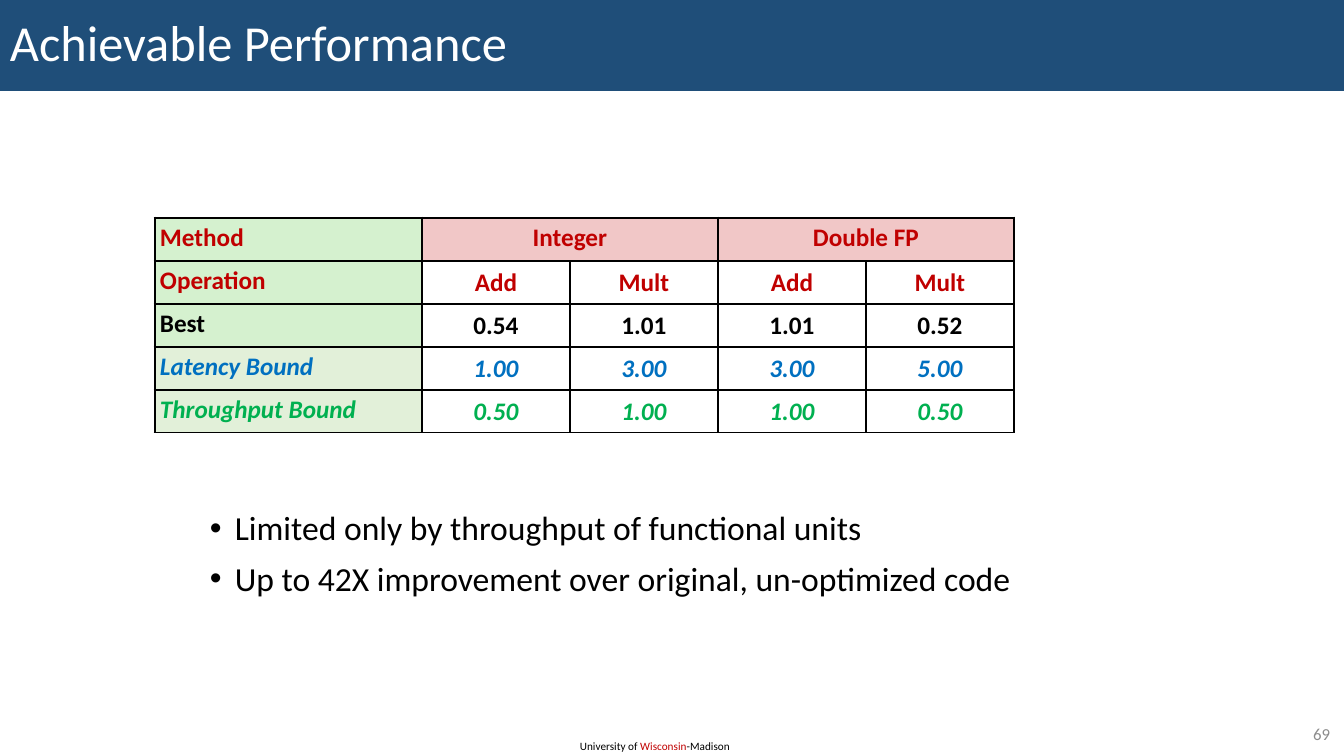
from lxml.etree import SubElement
from pptx import Presentation
from pptx.dml.color import RGBColor
from pptx.enum.shapes import MSO_SHAPE
from pptx.enum.text import MSO_ANCHOR, PP_ALIGN
from pptx.oxml.ns import qn
from pptx.util import Emu, Pt

SCALE = 914400 / 100.8
FONT = "Calibri"
BLACK, RED, WHITE = "000000", "C00000", "FFFFFF"
BLUE, GREEN = "0070C0", "00B050"
MINT, PALE_GREEN, PINK = "D5F1CF", "E2F0D9", "F1C7C7"

LABEL_WIDTH, VALUE_WIDTH, ROW_HEIGHT = 267, 148, 43
ROWS = [
    (["Method", "Integer", "", "Double FP", ""], RED, MINT, False),
    (["Operation", "Add", "Mult", "Add", "Mult"], RED, MINT, False),
    (["Best", "0.54", "1.01", "1.01", "0.52"], BLACK, MINT, False),
    (["Latency Bound", "1.00", "3.00", "3.00", "5.00"], BLUE, PALE_GREEN, True),
    (["Throughput Bound", "0.50", "1.00", "1.00", "0.50"], GREEN, PALE_GREEN, True),
]


def px(length):
    return Emu(round(length * SCALE))


def color(value):
    return RGBColor.from_string(value)


def style(font, size, value, bold=False, italic=False):
    font.name = FONT
    font.size = Pt(size)
    font.bold = bold
    font.italic = italic
    font.color.rgb = color(value)


def add_text_frame(slide, left, top, width, height, wrap=True):
    shape = slide.shapes.add_textbox(px(left), px(top), px(width), px(height))
    shape.text_frame.word_wrap = wrap
    return shape.text_frame


def add_title(slide, text):
    shape = slide.shapes.add_shape(MSO_SHAPE.RECTANGLE, 0, 0, px(1344), px(91))
    shape.shadow.inherit = False
    shape.fill.solid()
    shape.fill.fore_color.rgb = color("1F4E79")
    shape.line.fill.background()
    shape.text_frame.vertical_anchor = MSO_ANCHOR.MIDDLE
    paragraph = shape.text_frame.paragraphs[0]
    paragraph.text = text
    paragraph.alignment = PP_ALIGN.LEFT
    paragraph.line_spacing = 0.9
    style(paragraph.font, 36, WHITE)


def set_borders(cell, widths):
    properties = cell._tc.get_or_add_tcPr()
    for side, width in widths.items():
        line = SubElement(properties, qn(f"a:ln{side}"), w=str(Pt(width)))
        fill = SubElement(line, qn("a:solidFill"))
        SubElement(fill, qn("a:srgbClr"), val=BLACK)


def format_cell(cell, text, value, fill, italic, centered, middle):
    cell.margin_left = cell.margin_right = px(5)
    cell.margin_top = cell.margin_bottom = px(5)
    cell.vertical_anchor = MSO_ANCHOR.MIDDLE if middle else MSO_ANCHOR.TOP
    cell.fill.solid()
    cell.fill.fore_color.rgb = color(fill)
    paragraph = cell.text_frame.paragraphs[0]
    paragraph.text = text
    paragraph.alignment = PP_ALIGN.CENTER if centered else PP_ALIGN.LEFT
    paragraph.line_spacing = 0.95
    style(paragraph.font, 18, value, True, italic)


def add_performance_table(slide):
    column_count = len(ROWS[0][0])
    width = LABEL_WIDTH + VALUE_WIDTH * (column_count - 1)
    frame = slide.shapes.add_table(len(ROWS), column_count, px(155), px(218),
                                   px(width), px(ROW_HEIGHT * len(ROWS)))
    table = frame.table
    table.first_row = table.horz_banding = False
    for index, column in enumerate(table.columns):
        column.width = px(VALUE_WIDTH if index else LABEL_WIDTH)
    for first in (1, 3):
        table.cell(0, first).merge(table.cell(0, first + 1))
    for row_index, (texts, value, label_fill, italic) in enumerate(ROWS):
        value_fill = WHITE if row_index else PINK
        for column_index, text in enumerate(texts):
            cell = table.cell(row_index, column_index)
            last_column = column_index + cell.span_width == column_count
            set_borders(cell, {
                "L": 1 if column_index else 2.25,
                "R": 2.25 if last_column or cell.is_spanned and column_index == 4 else 1,
                "T": 1 if row_index else 2.25,
                "B": 1,
            })
            format_cell(cell, text, value, value_fill if column_index else label_fill,
                        italic, column_index > 0, row_index > 0 and column_index > 0)


def add_bullets(slide, texts):
    text_frame = add_text_frame(slide, 200, 507, 916, 207)
    for index, text in enumerate(texts):
        paragraph = text_frame.add_paragraph() if index else text_frame.paragraphs[0]
        paragraph.text = text
        paragraph.line_spacing = 0.9
        paragraph.space_before = Pt(10 if index else 0)
        properties = paragraph._p.get_or_add_pPr()
        properties.set("marL", str(px(25)))
        properties.set("indent", str(-px(25)))
        SubElement(properties, qn("a:buFont"), typeface="Arial")
        SubElement(properties, qn("a:buChar"), char="•")
        style(paragraph.font, 24, BLACK)


def add_footer(slide):
    paragraph = add_text_frame(slide, 570, 734, 173, 24, wrap=False).paragraphs[0]
    for text, value in (("University of ", BLACK), ("Wisconsin", RED), ("-Madison", BLACK)):
        run = paragraph.add_run()
        run.text = text
        style(run.font, 8, value)


def add_slide_number(slide, number):
    text_frame = add_text_frame(slide, 1263, 719, 77, 29)
    text_frame.vertical_anchor = MSO_ANCHOR.MIDDLE
    paragraph = text_frame.paragraphs[0]
    paragraph.text = number
    paragraph.alignment = PP_ALIGN.RIGHT
    style(paragraph.font, 12, "8C8C8C")


def main():
    presentation = Presentation()
    presentation.slide_width, presentation.slide_height = px(1344), px(756)
    slide = presentation.slides.add_slide(presentation.slide_layouts[6])
    add_footer(slide)
    add_title(slide, "Achievable Performance")
    add_bullets(slide, [
        "Limited only by throughput of functional units",
        "Up to 42X improvement over original, un-optimized code",
    ])
    add_performance_table(slide)
    add_slide_number(slide, "69")
    presentation.save("out.pptx")


if __name__ == "__main__":
    main()
